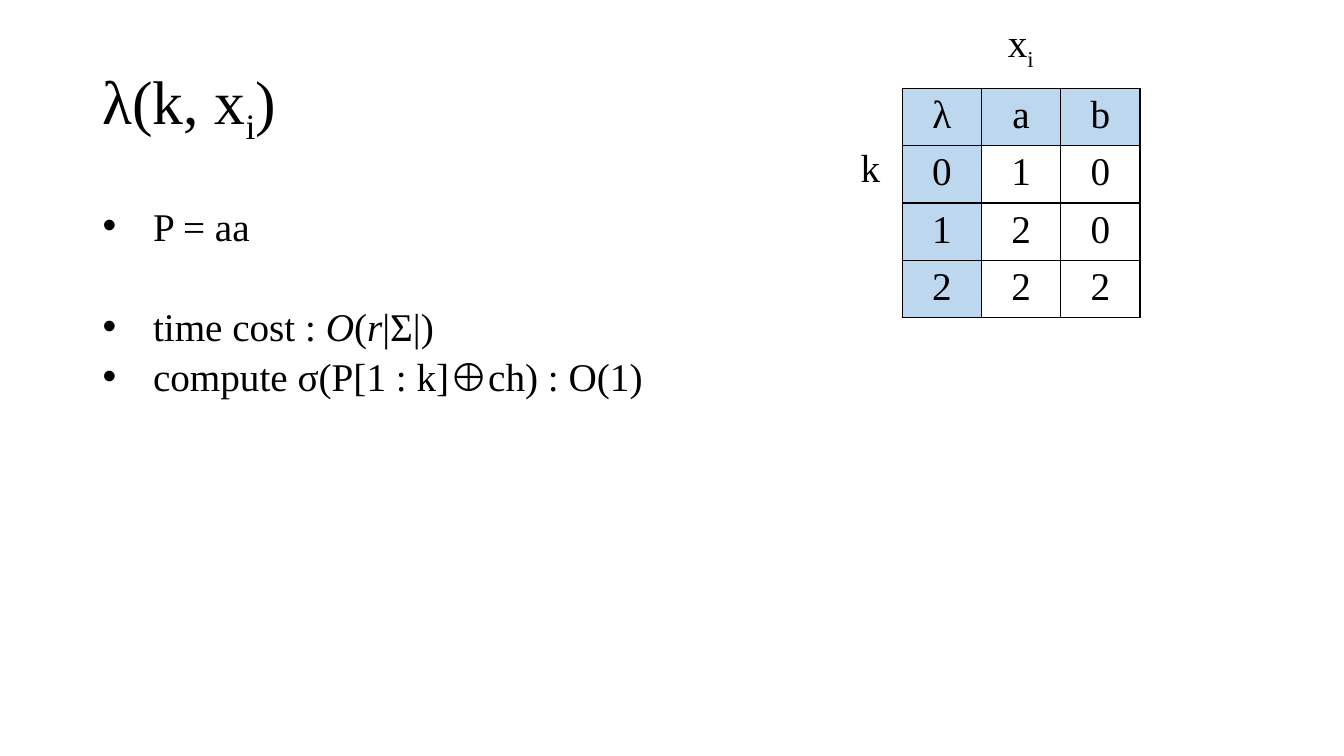
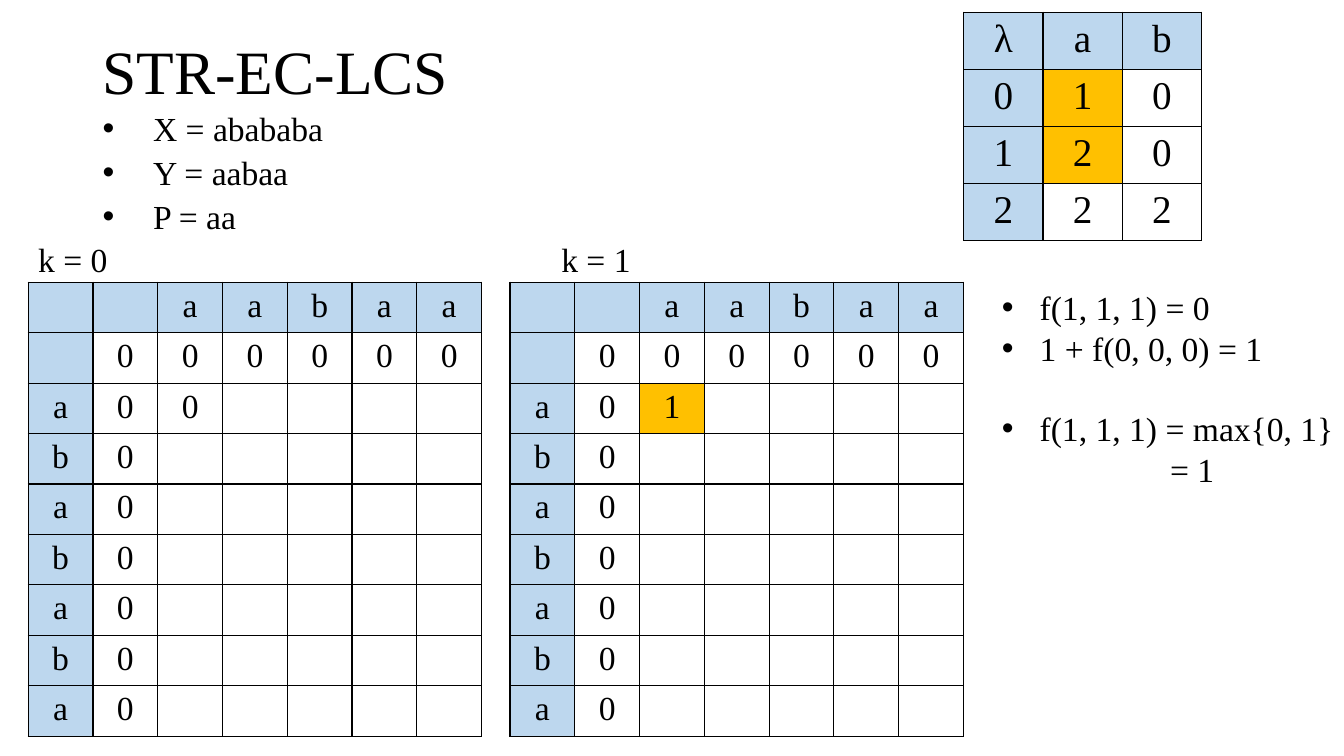
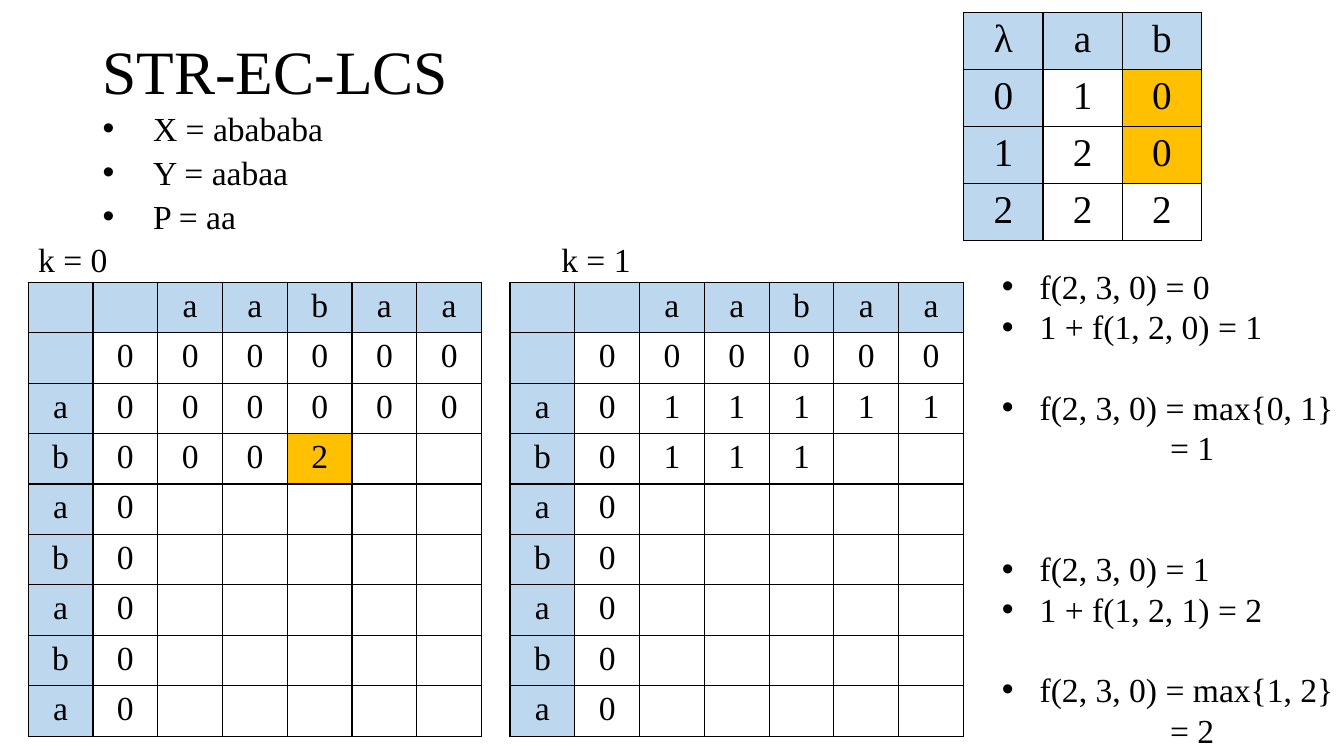
from lxml import etree
from pptx import Presentation
from pptx import util as u
from pptx.dml.color import RGBColor
from pptx.enum import text
from pptx.oxml.ns import qn

# Shared style: the grid has ten columns and ten rows to the inch
GRID = u.Inches(0.1)
SLIDE_COLUMNS, SLIDE_ROWS = 133.33, 75
FONT = "Times New Roman"
BLACK, WHITE, BLUE, AMBER = "000000", "FFFFFF", "BDD7EE", "FFC000"
TITLE_SIZE, LARGE, MEDIUM = 44, 28, 24
LINE_HEIGHT, TIGHT = 1.2, 0.9
BODY_GAP = 5.6
BODY_INDENT, NOTE_INDENT, RESULT_INDENT = 5, 3.75, 16.7
SUBSCRIPT = {"baseline": "-25000"}

# Content shared by the slides
WORD_X, WORD_Y = "abababa", "aabaa"
LAMBDA_ROWS = ["λab", "010", "120", "222"]


def grid(count):
    return u.Emu(round(count * GRID))


def color(hex_string):
    return RGBColor.from_string(hex_string)


def apply(target, values):
    for name, value in values.items():
        setattr(target, name, value)


def add_runs(paragraph, runs, size):
    """Runs are a string or a list of strings and (string, format) pairs."""
    for item in [runs] if isinstance(runs, str) else runs:
        words, extra = (item, {}) if isinstance(item, str) else item
        run = paragraph.add_run()
        run.text = words
        apply(run.font, {"name": FONT, "size": u.Pt(size),
                         "italic": extra.get("italic")})
        run.font.color.rgb = color(BLACK)
        if "baseline" in extra:
            run.font._element.set("baseline", extra["baseline"])


def set_indent(paragraph, indent, bullet):
    properties = paragraph._p.get_or_add_pPr()
    properties.set("marL", str(grid(indent)))
    properties.set("indent", str(-grid(indent) if bullet else 0))
    if bullet:
        etree.SubElement(properties, qn("a:buFont")).set("typeface", "Arial")
        etree.SubElement(properties, qn("a:buChar")).set("char", "•")


def add_text(slide, box, paragraphs, size, tight=False, middle=False):
    """Paragraphs are dicts with runs, and maybe indent, bullet and before."""
    shape = slide.shapes.add_textbox(*map(grid, box))
    frame = shape.text_frame
    anchor = text.MSO_ANCHOR.MIDDLE if middle else text.MSO_ANCHOR.TOP
    apply(frame, {"word_wrap": True, "vertical_anchor": anchor,
                  "margin_right": 0})
    pitch = size * LINE_HEIGHT * (TIGHT if tight else 1)
    for index, item in enumerate(paragraphs):
        paragraph = frame.paragraphs[0] if index == 0 else frame.add_paragraph()
        if "indent" in item:
            set_indent(paragraph, item["indent"], item.get("bullet", False))
        apply(paragraph, {"line_spacing": u.Pt(pitch),
                          "space_before": u.Pt(item.get("before", 0))})
        add_runs(paragraph, item["runs"], size)


def add_label(slide, left, top, runs, size):
    add_text(slide, (left, top, 9, 5), [{"runs": runs}], size)


def add_title(slide, top, runs):
    add_text(slide, (9.2, top, 115, 14.5), [{"runs": runs}], TITLE_SIZE,
             tight=True, middle=True)


def add_body(slide, top, size, lines, gap_after_first=0):
    paragraphs = []
    for index, runs in enumerate(lines):
        before = BODY_GAP * (index > 0) + gap_after_first * (index == 1)
        paragraphs.append({"runs": runs, "indent": BODY_INDENT,
                           "bullet": True, "before": before})
    add_text(slide, (9.2, top, 115, 47.6), paragraphs, size, tight=True)


def add_borders(cell):
    properties = cell._tc.get_or_add_tcPr()
    for side in ("lnL", "lnR", "lnT", "lnB"):
        line = etree.SubElement(properties, qn(f"a:{side}"), w=str(u.Pt(1)))
        fill = etree.SubElement(line, qn("a:solidFill"))
        etree.SubElement(fill, qn("a:srgbClr"), val=BLACK)


def add_grid_table(slide, box, rows, size, marked=()):
    """First row and column are headings; marked holds (row, column) pairs."""
    left, top, width, height = map(grid, box)
    table = slide.shapes.add_table(len(rows), len(rows[0]),
                                   left, top, width, height).table
    for column in table.columns:
        column.width = u.Emu(width // len(rows[0]))
    for row in table.rows:
        row.height = u.Emu(height // len(rows))
    for i, row in enumerate(rows):
        for j, value in enumerate(row):
            cell = table.cell(i, j)
            add_borders(cell)
            heading = i == 0 or j == 0
            fill = AMBER if (i, j) in marked else BLUE if heading else WHITE
            cell.fill.solid()
            cell.fill.fore_color.rgb = color(fill)
            paragraph = cell.text_frame.paragraphs[0]
            paragraph.alignment = text.PP_ALIGN.CENTER
            if value:
                add_runs(paragraph, value, size)


def add_board(slide, left, values, marked=()):
    """Subsequence table; values lists the filled part of the first rows."""
    values = values + ["0"] * (len(WORD_X) + 1 - len(values))
    rows = [["", "", *WORD_Y]]
    for letter, digits in zip(["", *WORD_X], values):
        blanks = [""] * (len(WORD_Y) + 1 - len(digits))
        rows.append([letter, *digits, *blanks])
    add_grid_table(slide, (left, 28, 45, 45), rows, MEDIUM, marked)


def add_notes_panel(slide, top, groups):
    """Each group: two candidates, their maximum and the result."""
    line = MEDIUM * LINE_HEIGHT
    paragraphs = []
    for index, (first, second, maximum, result) in enumerate(groups):
        for runs, skipped in ((first, 2 * (index > 0)), (second, 0), (maximum, 1)):
            paragraphs.append({"runs": runs, "indent": NOTE_INDENT,
                               "bullet": True, "before": skipped * line})
        paragraphs.append({"runs": result, "indent": RESULT_INDENT})
    left = 98.4
    add_text(slide, (left, top, SLIDE_COLUMNS - left, SLIDE_ROWS - top),
             paragraphs, MEDIUM)


def add_step_slide(presentation, boards, lambda_marked, notes_top, groups):
    slide = add_slide(presentation)
    add_title(slide, 0, "STR-EC-LCS")
    add_body(slide, 10.6, MEDIUM,
             [f"X = {WORD_X}", f"Y = {WORD_Y}", "P = aa"])
    for k, (label_left, board_left) in enumerate([(2.8, 2.8), (54.7, 50.6)]):
        add_label(slide, label_left, 23.2, f"k = {k}", MEDIUM)
        add_board(slide, board_left, *boards[k])
    add_grid_table(slide, (95.6, 1.2, 23.6, 22.7), LAMBDA_ROWS, LARGE,
                   lambda_marked)
    add_notes_panel(slide, notes_top, groups)


def add_slide(presentation):
    return presentation.slides.add_slide(presentation.slide_layouts[6])


def add_lambda_slide(presentation):
    slide = add_slide(presentation)
    add_title(slide, 4, ["λ(k, x", ("i", SUBSCRIPT), ")"])
    italic = {"italic": True}
    add_body(slide, 20, LARGE, [
        "P = aa",
        ["time cost : ", ("O", italic), "(", ("r", italic), "|Σ|)"],
        "compute σ(P[1 : k]⊕ch) : O(1)",
    ], gap_after_first=LARGE * LINE_HEIGHT * TIGHT + BODY_GAP)
    add_grid_table(slide, (89.5, 8.8, 23.6, 21.3), LAMBDA_ROWS, LARGE)
    add_label(slide, 84.4, 13.7, "k", LARGE)
    add_label(slide, 99, 2, ["x", ("i", SUBSCRIPT)], LARGE)


def main():
    presentation = Presentation()
    presentation.slide_width = grid(SLIDE_COLUMNS)
    presentation.slide_height = grid(SLIDE_ROWS)
    add_lambda_slide(presentation)

    # First cell: both letters match
    add_step_slide(
        presentation,
        boards=[(["000000", "00"],), (["000000", "01"], {(2, 2)})],
        lambda_marked={(1, 1), (2, 1)},
        notes_top=28,
        groups=[("f(1, 1, 1) = 0", "1 + f(0, 0, 0) = 1",
                 "f(1, 1, 1) = max{0, 1}", "= 1")])

    # Second row: the letter b resets the matched prefix
    add_step_slide(
        presentation,
        boards=[(["000000", "000000", "0002"], {(3, 4)}),
                (["000000", "011111", "0111"],)],
        lambda_marked={(1, 2), (2, 2)},
        notes_top=25.9,
        groups=[("f(2, 3, 0) = 0", "1 + f(1, 2, 0) = 1",
                 "f(2, 3, 0) = max{0, 1}", "= 1"),
                ("f(2, 3, 0) = 1", "1 + f(1, 2, 1) = 2",
                 "f(2, 3, 0) = max{1, 2}", "= 2")])
    presentation.save("out.pptx")


if __name__ == "__main__":
    main()
